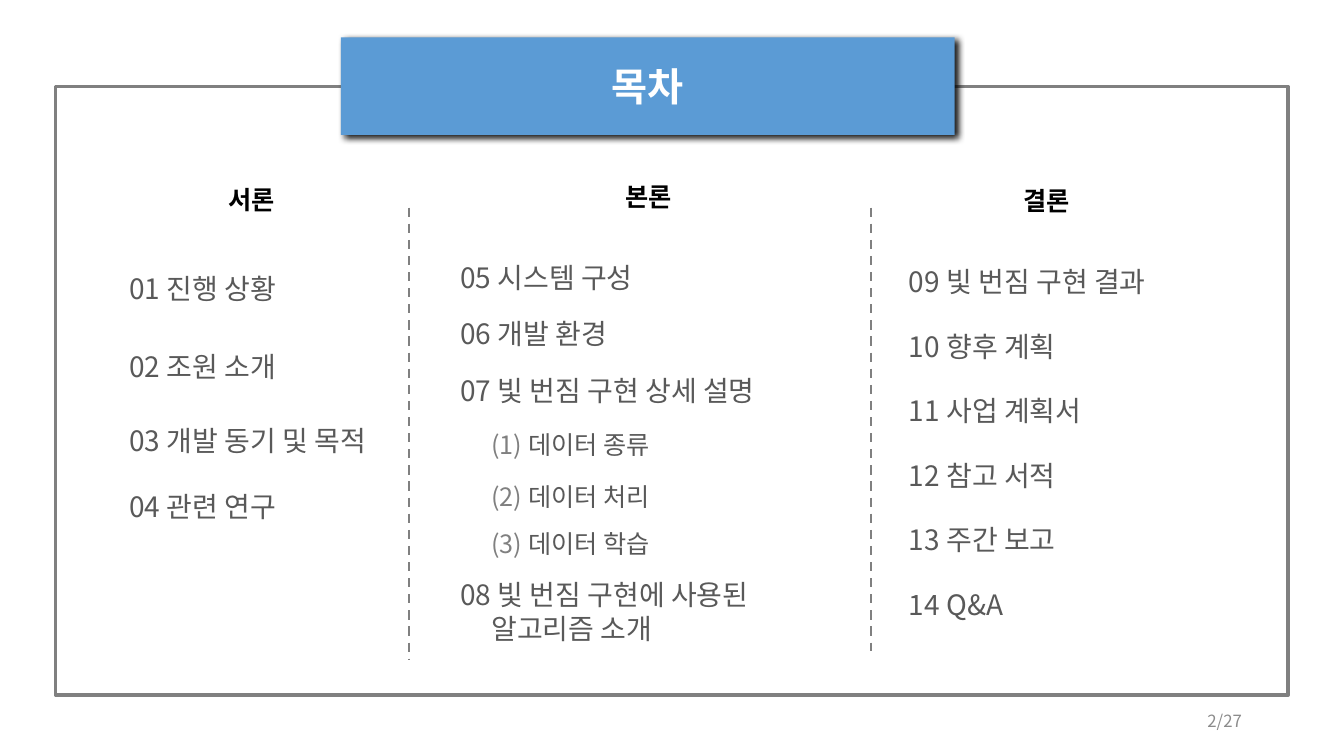
from lxml import etree
from pptx import Presentation
from pptx.dml.color import RGBColor
from pptx.enum.dml import MSO_LINE
from pptx.enum.shapes import MSO_CONNECTOR, MSO_SHAPE
from pptx.enum.text import MSO_ANCHOR, MSO_AUTO_SIZE, PP_ALIGN
from pptx.oxml import parse_xml
from pptx.oxml.ns import nsdecls, qn
from pptx.util import Cm, Pt

RECTANGLE = MSO_SHAPE.RECTANGLE
STRAIGHT = MSO_CONNECTOR.STRAIGHT
DASH = MSO_LINE.DASH
TOP, MIDDLE = MSO_ANCHOR.TOP, MSO_ANCHOR.MIDDLE
LEFT, CENTER, RIGHT = PP_ALIGN.LEFT, PP_ALIGN.CENTER, PP_ALIGN.RIGHT
NO_FIT = MSO_AUTO_SIZE.NONE

WHITE = RGBColor(0xFF, 0xFF, 0xFF)
BLACK = RGBColor(0x00, 0x00, 0x00)
BLUE = RGBColor(0x5B, 0x9B, 0xD5)
GRAY = RGBColor(0x80, 0x80, 0x80)
LIGHT_GRAY = RGBColor(0x8C, 0x8C, 0x8C)
DARK_GRAY = RGBColor(0x59, 0x59, 0x59)

# Entry styles: text size, indent in cm, colour of the number
ITEM = (20, 0.16, DARK_GRAY)
SUBITEM = (18, 0.95, GRAY)
CONTINUED = (20, 0.95, DARK_GRAY)

# Entries: style, number, text, space before in points
INTRODUCTION = [
    (ITEM, "01 ", "진행 상황", 0),
    (ITEM, "02 ", "조원 소개", 32),
    (ITEM, "03 ", "개발 동기 및 목적", 29),
    (ITEM, "04 ", "관련 연구", 23),
]
MAIN_PART = [
    (ITEM, "05 ", "시스템 구성", 0),
    (ITEM, "06 ", "개발 환경", 16),
    (ITEM, "07 ", "빛 번짐 구현 상세 설명", 17),
    (SUBITEM, "(1) ", "데이터 종류", 16),
    (SUBITEM, "(2) ", "데이터 처리", 15),
    (SUBITEM, "(3) ", "데이터 학습", 12),
    (ITEM, "08 ", "빛 번짐 구현에 사용된", 14),
    (CONTINUED, "", "알고리즘 소개", 0),
]
CONCLUSION_TEXTS = ["빛 번짐 구현 결과", "향후 계획", "사업 계획서",
                    "참고 서적", "주간 보고", "Q&A"]
CONCLUSION = [(ITEM, f"{number:02d} ", text, 0 if number == 9 else 22)
              for number, text in enumerate(CONCLUSION_TEXTS, 9)]


class ContentsPage:
    font_name = "Noto Sans CJK KR"

    def __init__(self, deck):
        self.page = deck.slides.add_slide(deck.slide_layouts[4])

    def place(self, shape, left, top, width, height):
        shape.left, shape.top = Cm(left), Cm(top)
        shape.width, shape.height = Cm(width), Cm(height)

    def format_span(self, span, size, color, bold=False):
        font = span.font
        font.name, font.size, font.bold = self.font_name, Pt(size), bold
        font.color.rgb = color
        east_asian = etree.SubElement(font._element, qn("a:ea"))
        east_asian.set("typeface", self.font_name)

    def fill_text(self, shape, text, size, color, bold=False, align=CENTER):
        frame = shape.text_frame
        frame.text = text
        frame.word_wrap = True
        frame.auto_size = NO_FIT
        frame.vertical_anchor = MIDDLE
        frame.paragraphs[0].alignment = align
        self.format_span(frame.paragraphs[0].runs[0], size, color, bold)

    def frame(self, left, top, width, height):
        """Draw the outline behind everything else on the page."""
        border = self.page.shapes.add_shape(
            RECTANGLE, Cm(left), Cm(top), Cm(width), Cm(height))
        border.shadow.inherit = False
        border.fill.background()
        border.line.color.rgb = GRAY
        border.line.width = Pt(2.5)
        self.page.shapes._spTree.insert(2, border._element)

    def banner(self, text, *position):
        title = self.page.shapes.title
        self.place(title, *position)
        title.fill.solid()
        title.fill.fore_color.rgb = BLUE
        title._element.spPr.append(parse_xml(
            f'<a:effectLst {nsdecls("a")}>'
            f'<a:outerShdw blurRad="{Pt(5)}" dist="{Pt(3)}" dir="2280000" '
            'algn="tl" rotWithShape="0"><a:srgbClr val="000000">'
            '<a:alpha val="95000"/></a:srgbClr></a:outerShdw></a:effectLst>'))
        self.fill_text(title, text, 28, WHITE, bold=True)

    def label(self, text, left, top, width, height, *style, **options):
        box = self.page.shapes.add_textbox(
            Cm(left), Cm(top), Cm(width), Cm(height))
        self.fill_text(box, text, *style, **options)

    def divider(self, x, top, bottom):
        line = self.page.shapes.add_connector(
            STRAIGHT, Cm(x), Cm(top), Cm(x), Cm(bottom))
        line.line.color.rgb = GRAY
        line.line.width = Pt(1.65)
        line.line.dash_style = DASH
        etree.SubElement(line._element.spPr, qn("a:effectLst"))

    def entries(self, index, items, *position):
        body = self.page.placeholders[index]
        self.place(body, *position)
        frame = body.text_frame
        frame.word_wrap = True
        frame.auto_size = NO_FIT
        frame.vertical_anchor = TOP
        for row, ((size, indent, number_color), number, text, gap) in enumerate(items):
            para = frame.add_paragraph() if row else frame.paragraphs[0]
            properties = para._p.get_or_add_pPr()
            properties.set("marL", str(Cm(indent)))
            properties.set("indent", "0")
            etree.SubElement(properties, qn("a:buNone"))
            para.alignment = LEFT
            para.line_spacing = Pt(1.2 * size)
            para.space_before, para.space_after = Pt(gap), Pt(0)
            for words, color in ((number, number_color), (text, DARK_GRAY)):
                if words:
                    span = para.add_run()
                    span.text = words
                    self.format_span(span, size, color)

    def remove_placeholder(self, index):
        element = self.page.placeholders[index]._element
        element.getparent().remove(element)


def main():
    deck = Presentation()
    deck.slide_width, deck.slide_height = Cm(33.87), Cm(19.05)
    contents = ContentsPage(deck)
    contents.frame(1.4, 2.18, 31.06, 15.34)
    contents.banner("목차", 8.59, 0.94, 15.47, 2.46)
    for heading, left, top in (("서론", 5.34, 4.52), ("본론", 15.35, 4.45),
                               ("결론", 25.38, 4.55)):
        contents.label(heading, left, top, 2, 1.02, 18, BLACK, bold=True)
    contents.entries(1, INTRODUCTION, 2.84, 6.71, 8.8, 7.2)
    contents.entries(2, MAIN_PART, 11.18, 6.43, 9.52, 10.2)
    contents.entries(3, CONCLUSION, 22.49, 6.55, 9.52, 9.5)
    contents.remove_placeholder(4)
    contents.divider(10.31, 5.23, 16.64)
    contents.divider(21.95, 5.23, 16.41)
    contents.label("2/27", 23.93, 17.65, 7.62, 1.02, 12, LIGHT_GRAY, align=RIGHT)
    deck.save("out.pptx")


if __name__ == "__main__":
    main()
